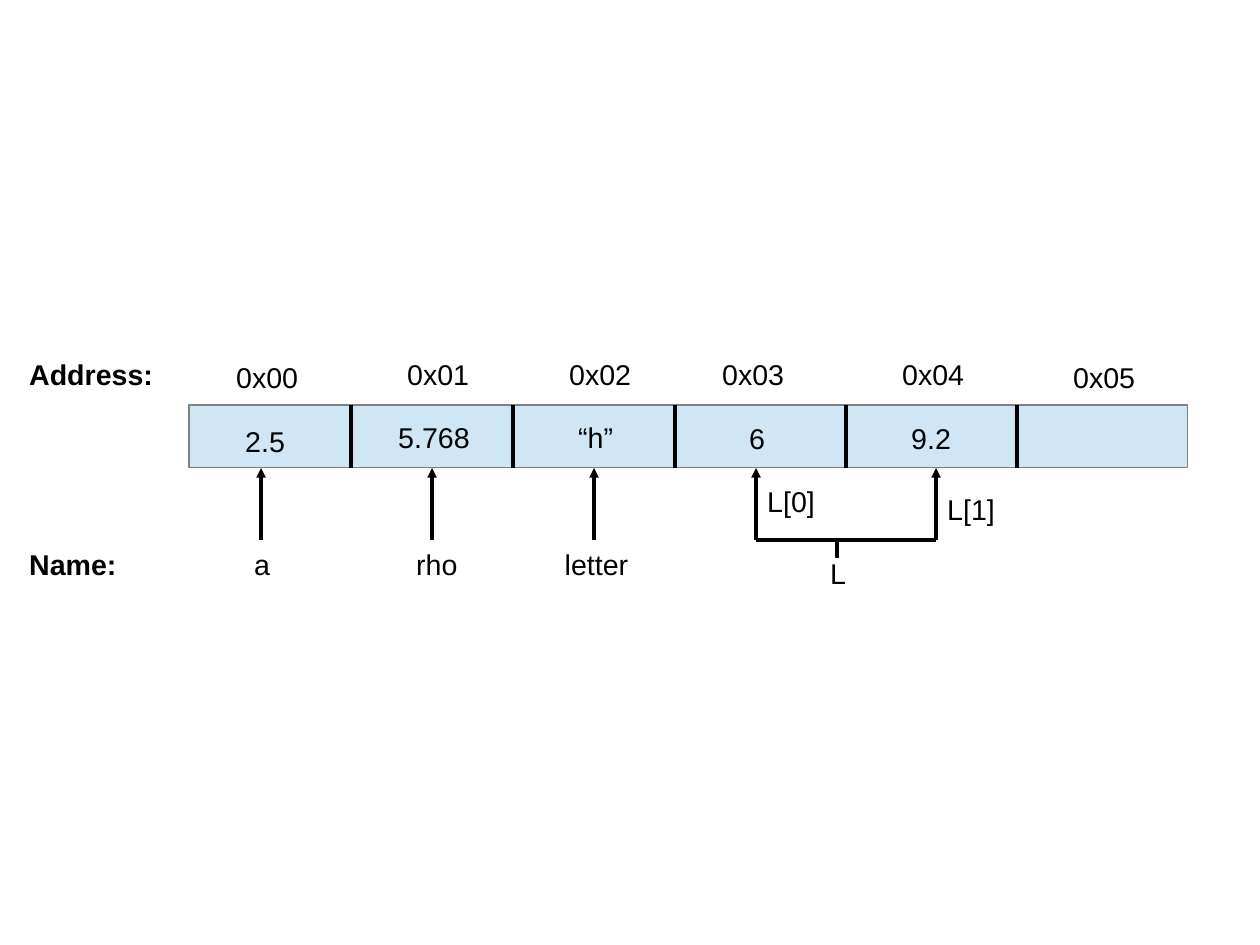
from dataclasses import dataclass

from lxml import etree
from pptx import Presentation
from pptx.dml.color import RGBColor
from pptx.enum.shapes import MSO_CONNECTOR, MSO_SHAPE
from pptx.enum.text import MSO_AUTO_SIZE
from pptx.oxml.ns import qn
from pptx.util import Cm, Pt

RECTANGLE = MSO_SHAPE.RECTANGLE
STRAIGHT = MSO_CONNECTOR.STRAIGHT
GROW = MSO_AUTO_SIZE.SHAPE_TO_FIT_TEXT
COLORS = {"cell": "CFE7F5", "border": "808080", "ink": "000000"}
FONT = "Arial"
HAIRLINE = Pt(0)

BAR_LEFT, BAR_TOP, BAR_WIDTH, BAR_HEIGHT = 4.2, 9.0, 22.2, 1.4
BAR_BOTTOM = BAR_TOP + BAR_HEIGHT
ARROW_START = 12.0
ADDRESS_TOP, NAME_TOP = 7.8, 12.04
DIVIDERS = [7.8, 11.4, 15.0, 18.8, 22.6]
POINTERS = [5.8, 9.6, 13.2, 16.8, 20.8]
LIST_LEFT, LIST_RIGHT = POINTERS[3:]
LIST_STEM = 18.6


@dataclass
class Label:
    text: str
    left: float
    top: float
    width: float
    height: float = 0.96
    bold: bool = False


@dataclass
class Line:
    x1: float
    y1: float
    x2: float
    y2: float
    arrow: bool = False


LABELS = [
    Label("Address:", 0.4, ADDRESS_TOP, 3.6, bold=True),
    Label("Name:", 0.4, NAME_TOP, 5.2, bold=True),
    Label("0x00", 5.0, 7.87, 2.4),
    Label("0x01", 8.8, ADDRESS_TOP, 2.4),
    Label("0x02", 12.4, ADDRESS_TOP, 2.4),
    Label("0x03", 15.8, ADDRESS_TOP, 2.4),
    Label("0x04", 19.8, ADDRESS_TOP, 2.4),
    Label("0x05", 23.6, 7.87, 2.4),
    Label("2.5", 5.2, 9.3, 2.4),
    Label("5.768", 8.6, 9.2, 2.4),
    Label("“h”", 12.6, 9.2, 2.4),
    Label("6", 16.4, 9.24, 1.8, 1.16),
    Label("9.2", 20.0, 9.24, 2.0, 1.16),
    Label("a", 5.4, NAME_TOP, 1.6, 1.36),
    Label("rho", 9.0, NAME_TOP, 1.8, 1.36),
    Label("letter", 12.3, NAME_TOP, 2.2, 1.36),
    Label("L[0]", LIST_LEFT, 10.64, 1.8, 1.36),
    Label("L[1]", LIST_RIGHT, 10.8, 1.8, 1.56),
    Label("L", 18.2, 12.24, 1.8, 1.36),
]

LINES = [
    *(Line(x, BAR_TOP, x, BAR_BOTTOM) for x in DIVIDERS),
    *(Line(x, ARROW_START, x, BAR_BOTTOM, arrow=True) for x in POINTERS),
    Line(LIST_LEFT, ARROW_START, LIST_RIGHT, ARROW_START),
    Line(LIST_STEM, ARROW_START, LIST_STEM, 12.4),
]


def color(name: str) -> RGBColor:
    return RGBColor.from_string(COLORS[name])


def draw_memory_bar(shapes) -> None:
    s = shapes.add_shape(
        RECTANGLE, Cm(BAR_LEFT), Cm(BAR_TOP), Cm(BAR_WIDTH), Cm(BAR_HEIGHT)
    )
    s.shadow.inherit = False
    s.fill.solid()
    s.fill.fore_color.rgb = color("cell")
    s.line.color.rgb = color("border")
    s.line.width = HAIRLINE


def draw_line(shapes, line: Line) -> None:
    s = shapes.add_connector(
        STRAIGHT, Cm(line.x1), Cm(line.y1), Cm(line.x2), Cm(line.y2)
    )
    s.line.color.rgb = color("ink")
    s.line.width = HAIRLINE
    if line.arrow:
        ln = s.line._get_or_add_ln()
        etree.SubElement(ln, qn("a:tailEnd"), type="triangle")
    etree.SubElement(s._element.spPr, qn("a:effectLst"))


def draw_label(shapes, label: Label) -> None:
    s = shapes.add_textbox(
        Cm(label.left), Cm(label.top), Cm(label.width), Cm(label.height)
    )
    tf = s.text_frame
    tf.word_wrap = True
    tf.auto_size = GROW
    tf.text = label.text
    r = tf.paragraphs[0].runs[0]
    r.font.name = FONT
    r.font.size = Pt(18)
    r.font.bold = label.bold
    r.font.color.rgb = color("ink")


def main() -> None:
    prs = Presentation()
    prs.slide_width, prs.slide_height = Cm(28), Cm(21)
    shapes = prs.slides.add_slide(prs.slide_layouts[6]).shapes
    draw_memory_bar(shapes)
    for line in LINES:
        draw_line(shapes, line)
    for label in LABELS:
        draw_label(shapes, label)
    prs.save("out.pptx")


if __name__ == "__main__":
    main()
